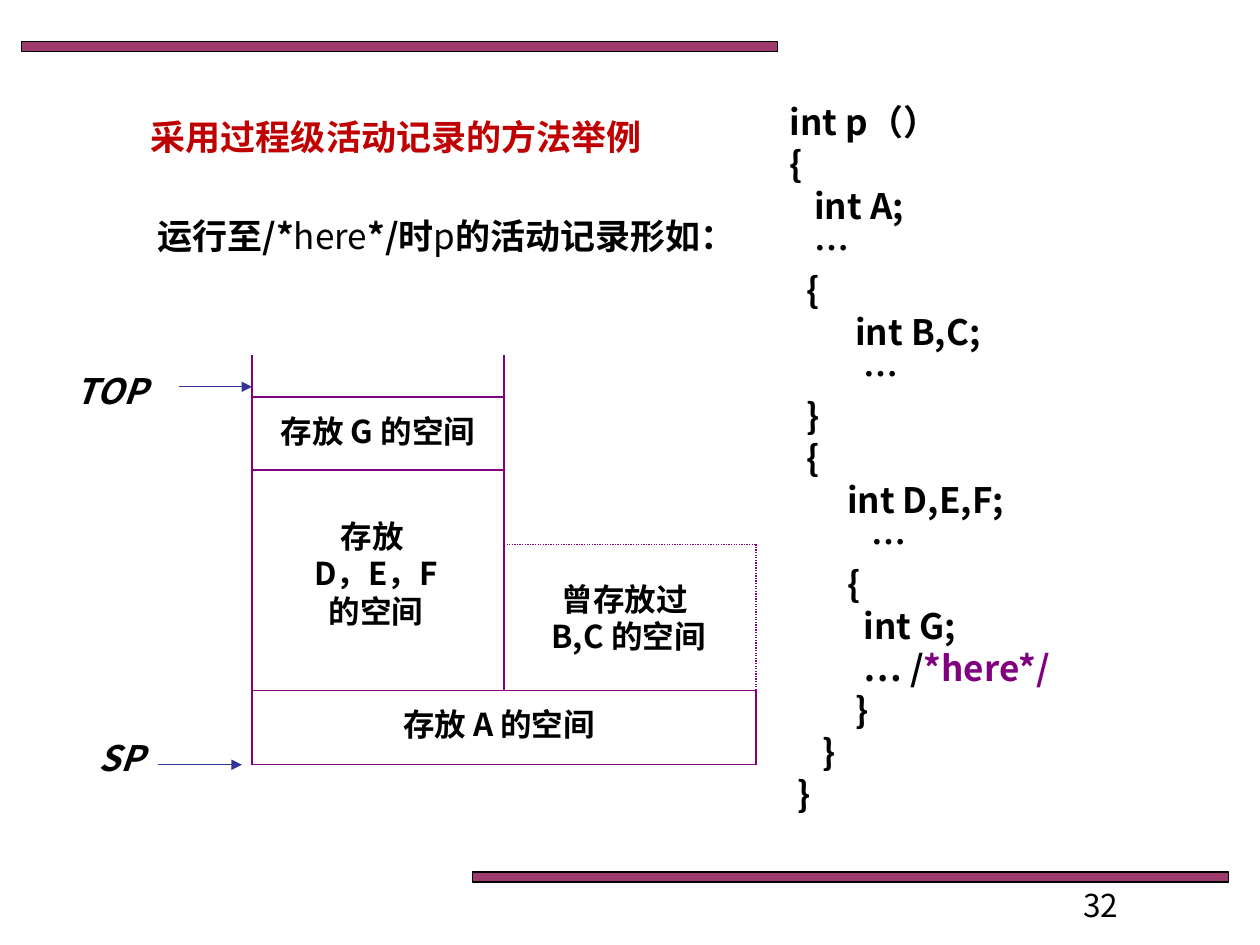
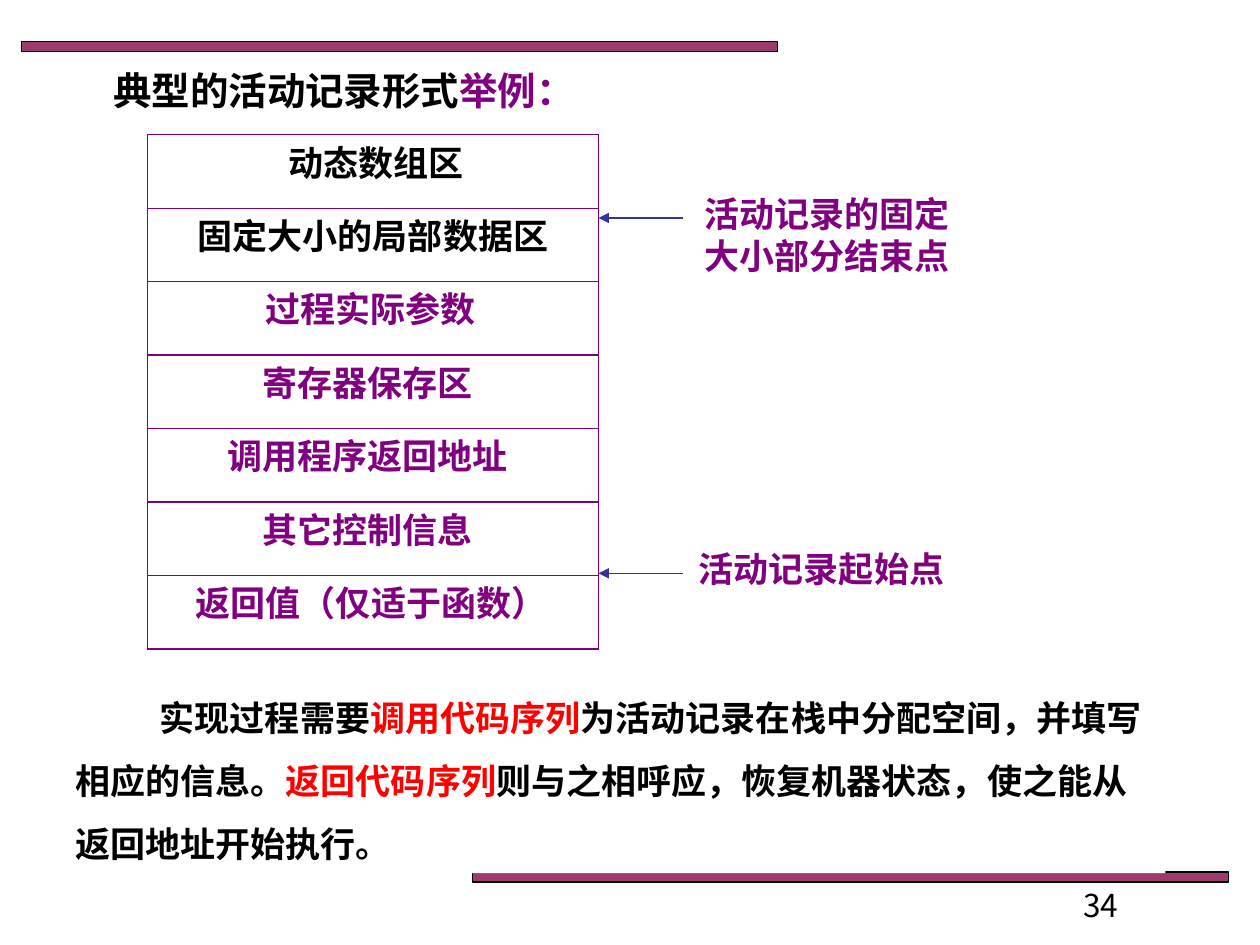
"""Build two slides on the layout of activation records."""
from pptx import Presentation
from pptx.dml.color import RGBColor
from pptx.enum.dml import MSO_LINE_DASH_STYLE as Dash
from pptx.enum.shapes import MSO_CONNECTOR as Connector, MSO_SHAPE as Shape
from pptx.enum.text import MSO_ANCHOR as Anchor, MSO_AUTO_SIZE as AutoSize, PP_ALIGN as Align
from pptx.oxml.ns import qn
from pptx.util import Inches, Pt
from lxml.etree import SubElement

FONT = "Noto Sans CJK SC"
BLACK = RGBColor(0x00, 0x00, 0x00)
WHITE = RGBColor(0xFF, 0xFF, 0xFF)
PURPLE = RGBColor(0x80, 0x00, 0x80)
PLUM = RGBColor(0x99, 0x33, 0x66)
BLUE = RGBColor(0x33, 0x33, 0x99)
DARK_RED = RGBColor(0xC0, 0x00, 0x00)
RED = RGBColor(0xFF, 0x00, 0x00)

BANDS = [(0.17, 0.33, 6, 0.08), (3.75, 6.92, 6, 0.08)]
NUMBER_AT = (8.5, 6.98, 1.58, 0.18)
LINE_HEIGHT = 1.2
CODE_SPACE = 0.065

METHOD_TITLE = [("采用过程级活动记录的方法举例", {"color": DARK_RED})]
METHOD_LEAD = [("运行至/*", {}), ("here", {"bold": False}), ("*/时", {}),
               ("p", {"bold": False}), ("的活动记录形如：", {})]
CODE = [(0, "int p（）"), (0, "{"), (3, "int A;"), (3, "…"), (2, "{"), (8, "int B,C;"),
        (9, "…"), (2, "}"), (2, "{"), (7, "int D,E,F;"), (10, "…"), (7, "{"),
        (9, "int G;"), (9, "… /", "*here*/"), (8, "}"), (4, "}"), (1, "}")]
CELL_TEXTS = [((2, 3.22, 2, 0.4), ["存放 G 的空间"]),
              ((2.08, 4.05, 1.75, 1.01), ["存放", " D，E，F", " 的空间"]),
              ((4, 4.55, 1.92, 0.71), ["曾存放过", " B,C 的空间"]),
              ((2, 5.55, 3.92, 0.4), ["存放 A 的空间"])]
CELL_EDGES = [(2, 2.82, 2, 6.07), (4, 2.82, 4, 5.48), (6, 5.48, 6, 6.07),
              (2, 3.15, 4, 3.15), (2, 3.73, 4, 3.73), (2, 5.48, 6, 5.48), (2, 6.07, 6, 6.07)]
FREED_EDGES = [(4, 4.32, 6, 4.32), (6, 4.32, 6, 5.48)]
POINTERS = [("TOP", (0.42, 2.88, 0.92, 0.43), (1.42, 3.07, 2, 3.07)),
            ("SP", (0.5, 5.8, 0.92, 0.43), (1.25, 6.07, 1.92, 6.07))]

FORM_TITLE = [("典型的活动记录形式", {}), ("举例：", {"color": PURPLE})]
RECORD_LEFT, RECORD_RIGHT, RECORD_TOP, RECORD_BOTTOM = 1.17, 4.75, 1.07, 5.15
RECORD_ROWS = [("动态数组区", BLACK, 1.22, 3.53), ("固定大小的局部数据区", BLACK, 1.17, 3.58),
               ("过程实际参数", PURPLE, 1.22, 3.44), ("寄存器保存区", PURPLE, 1.17, 3.5),
               ("调用程序返回地址", PURPLE, 1.17, 3.5), ("其它控制信息", PURPLE, 1.17, 3.5),
               ("返回值（仅适于函数）", PURPLE, 1.17, 3.55)]
RECORD_MARKS = [("活动记录的固定大小部分结束点", (5.42, 1.48, 2.29, 0.77), 1.73),
                ("活动记录起始点", (5.33, 4.3, 2.38, 0.43), 4.55)]
SUMMARY = [("实现过程需要", {}), ("调用代码序列", {"color": RED}),
           ("为活动记录在栈中分配空间，并填写相应的信息。", {}), ("返回代码序列", {"color": RED}),
           ("则与之相呼应，恢复机器状态，使之能从返回地址开始执行。", {})]


def inches(values):
    return [Inches(value) for value in values]


def add_span(para, text, size=20, color=BLACK, bold=True, italic=False):
    span = para.add_run()
    span.text = text
    font = span.font
    font.name, font.size, font.bold, font.italic = FONT, Pt(size), bold, italic
    font.color.rgb = color
    SubElement(font._element, qn("a:ea")).set("typeface", FONT)


def write(box, paras, size=20, align=Align.LEFT, indents=None, first=0, spacing=1):
    """Fill a box with paragraphs, each a list of (text, style) spans."""
    frame = box.text_frame
    frame.word_wrap = True
    frame.auto_size = AutoSize.NONE
    frame.vertical_anchor = Anchor.TOP
    for index, spans in enumerate(paras):
        para = frame.add_paragraph() if index else frame.paragraphs[0]
        para.alignment = align
        para.line_spacing = Pt(size * LINE_HEIGHT * spacing)
        properties = para._p.get_or_add_pPr()
        properties.set("marL", str(Inches(indents[index] if indents else 0)))
        properties.set("indent", str(Inches(first)))
        for text, style in spans:
            add_span(para, text, size, **style)


def add_text(page, place, paras, **layout):
    write(page.shapes.add_textbox(*inches(place)), paras, **layout)


def add_title(page, place, spans, **layout):
    title = page.shapes.title
    title.left, title.top, title.width, title.height = inches(place)
    write(title, [spans], **layout)


def add_line(page, ends, color=PURPLE, dash=None, arrow=False):
    line = page.shapes.add_connector(Connector.STRAIGHT, *inches(ends))
    line.line.color.rgb = color
    line.line.width = Pt(0.75)
    if dash:
        line.line.dash_style = dash
    if arrow:
        SubElement(line.line._get_or_add_ln(), qn("a:tailEnd")).set("type", "triangle")
    SubElement(line._element.spPr, qn("a:effectLst"))


def add_rectangle(page, place, color):
    box = page.shapes.add_shape(Shape.RECTANGLE, *inches(place))
    box.shadow.inherit = False
    box.fill.solid()
    box.fill.fore_color.rgb = color
    box.line.fill.background()
    return box


def add_bands(page):
    """Draw the bands and move them to the layout that the slides share."""
    for place in BANDS:
        band = add_rectangle(page, place, PLUM)
        band.line.color.rgb = BLACK
        band.line.width = Pt(0.75)
        tint = band._element.spPr.find(qn("a:solidFill"))[0]
        SubElement(tint, qn("a:alpha")).set("val", "96000")
        page.slide_layout.shapes.element.append(band.element)


def add_page(deck, number):
    page = deck.slides.add_slide(deck.slide_layouts[5])
    add_text(page, NUMBER_AT, [[(str(number), {"bold": False})]], size=18)
    return page


def build_method(page):
    add_title(page, (0, 0.87, 5.79, 0.44), METHOD_TITLE, align=Align.CENTER, indents=[0.5])
    add_text(page, (0.67, 1.65, 5.75, 0.44), [METHOD_LEAD], align=Align.CENTER)
    code = [[(text, {"color": PURPLE if place else BLACK}) for place, text in enumerate(texts)]
            for _, *texts in CODE]
    add_text(page, (6.17, 0.75, 3.5, 5.82), code,
             indents=[spaces * CODE_SPACE for spaces, *_ in CODE])
    for ends in CELL_EDGES:
        add_line(page, ends)
    for ends in FREED_EDGES:
        add_line(page, ends, dash=Dash.ROUND_DOT)
    for place, lines in CELL_TEXTS:
        add_text(page, place, [[(line, {})] for line in lines], size=18, align=Align.CENTER)
    for name, place, ends in POINTERS:
        add_text(page, place, [[(name, {"italic": True})]], align=Align.CENTER)
        add_line(page, ends, BLUE, arrow=True)


def build_form(page):
    add_title(page, (0.17, 0.48, 8.58, 0.47), FORM_TITLE, size=22, indents=[0.63])
    step = (RECORD_BOTTOM - RECORD_TOP) / len(RECORD_ROWS)
    for x in (RECORD_LEFT, RECORD_RIGHT):
        add_line(page, (x, RECORD_TOP, x, RECORD_BOTTOM))
    for index in range(len(RECORD_ROWS) + 1):
        y = RECORD_TOP + index * step
        add_line(page, (RECORD_LEFT, y, RECORD_RIGHT, y))
    for index, (text, color, left, width) in enumerate(RECORD_ROWS):
        add_text(page, (left, RECORD_TOP + index * step, width, 0.44),
                 [[(text, {"color": color})]], align=Align.CENTER)
    for text, place, y in RECORD_MARKS:
        add_text(page, place, [[(text, {"color": PURPLE})]], align=Align.CENTER)
        add_line(page, (5.42, y, RECORD_RIGHT, y), BLUE, arrow=True)
    summary = add_rectangle(page, (0.5, 5.31, 8.75, 1.62), WHITE)
    write(summary, [SUMMARY], first=0.67, spacing=1.5)


def main():
    deck = Presentation()
    deck.slide_width, deck.slide_height = Inches(10), Inches(7.5)
    method = add_page(deck, 32)
    add_bands(method)
    build_method(method)
    build_form(add_page(deck, 34))
    deck.save("out.pptx")


if __name__ == "__main__":
    main()
